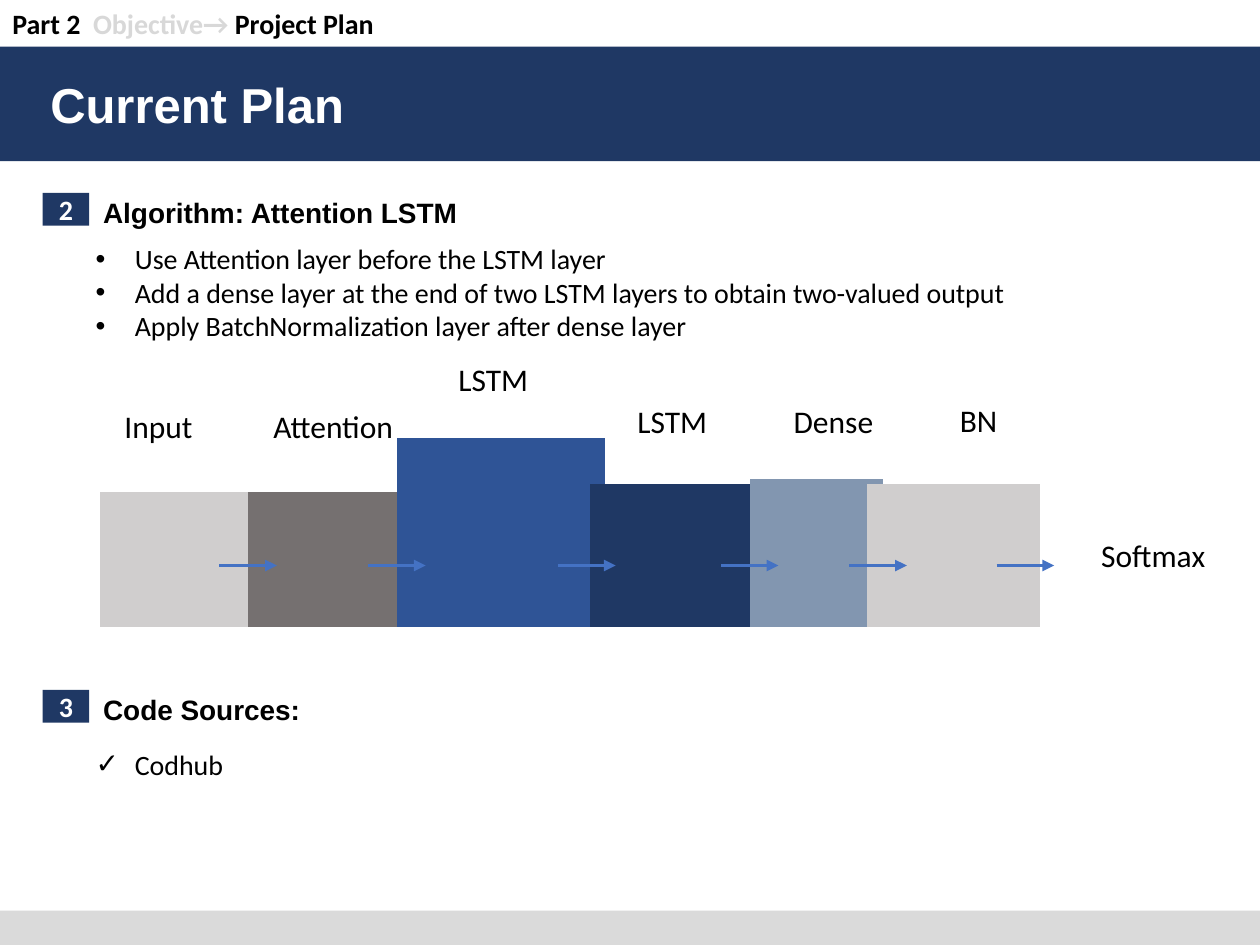
import pptx
import pptx.util
import pptx.dml.color
import pptx.enum.shapes
import pptx.enum.text
import pptx.oxml
import pptx.oxml.ns

Cm = pptx.util.Cm
Pt = pptx.util.Pt
qn = pptx.oxml.ns.qn
Kind = pptx.enum.shapes.MSO_SHAPE
Align = pptx.enum.text.PP_ALIGN
Anchor = pptx.enum.text.MSO_ANCHOR

HUES = {
    "navy": "1F3864", "blue": "2F5496", "steel": "8296B0", "arrow": "4472C4",
    "grey": "D0CECE", "dark": "757070", "foot": "DADADA", "faint": "D8D8D8",
    "black": "000000", "white": "FFFFFF",
}
BODY = {"name": "Calibri", "size": Pt(16), "bold": False}
BOLD = {"name": "Calibri", "size": Pt(16), "bold": True}
HEAD = {"name": "Arial", "size": Pt(16), "bold": True}
TITLE = {"name": "Arial", "size": Pt(28), "bold": True}
LABEL = {"name": "Calibri", "size": Pt(18), "bold": False}


def tint(name):
    return pptx.dml.color.RGBColor.from_string(HUES[name])


def write(para, text, form, hue="black"):
    run = para.add_run()
    run.text = text
    for key, val in form.items():
        setattr(run.font, key, val)
    run.font.color.rgb = tint(hue)


deck = pptx.Presentation()
deck.slide_width, deck.slide_height = Cm(25.4), Cm(19.05)
slide = deck.slides.add_slide(deck.slide_layouts[5])
shapes = slide.shapes

# Bands, number badges and layer blocks: kind, left, top, width, height, hue, number
base = 12.65
layers = [
    (2.01, 3.3, 2.74, "grey"),
    (5, 3.3, 2.74, "dark"),
    (8, 4.19, 3.81, "blue"),
    (11.89, 3.53, 2.9, "navy"),
    (15.11, 2.69, 2.99, "steel"),
    (17.48, 3.48, 2.9, "grey"),
]
parts = [
    (Kind.RECTANGLE, 0, 0.94, 25.4, 2.31, "navy", ""),
    (Kind.RECTANGLE, 0, 18.36, 25.4, 0.86, "foot", ""),
    (Kind.RECTANGLE, 0.86, 3.89, 0.94, 0.66, "navy", "2"),
    (Kind.RECTANGLE, 0.86, 13.91, 0.94, 0.66, "navy", "3"),
]
for left, wide, high, hue in layers:
    parts.append((Kind.FLOWCHART_PROCESS, left, base - high, wide, high, hue, ""))
for kind, left, top, wide, high, hue, num in parts:
    box = shapes.add_shape(kind, Cm(left), Cm(top), Cm(wide), Cm(high))
    box.shadow.inherit = False
    box.fill.solid()
    box.fill.fore_color.rgb = tint(hue)
    box.line.fill.background()
    if num:
        box.text_frame.vertical_anchor = Anchor.MIDDLE
        para = box.text_frame.paragraphs[0]
        para.alignment = Align.CENTER
        write(para, num, BOLD, "white")

# Title, brought in front of its band
title = shapes.title
spot = {"left": Cm(0.76), "top": Cm(1.37), "width": Cm(25.4), "height": Cm(1.45)}
for key, val in spot.items():
    setattr(title, key, val)
frame = title.text_frame
frame.auto_size = pptx.enum.text.MSO_AUTO_SIZE.NONE
frame.vertical_anchor = Anchor.TOP
frame.paragraphs[0].alignment = Align.LEFT
write(frame.paragraphs[0], "Current Plan", TITLE, "white")
shapes._spTree.append(title._element)

# Arrows between layers
flow = 11.4
for left in (4.42, 7.42, 11.25, 14.53, 17.12, 20.09):
    line = shapes.add_connector(
        pptx.enum.shapes.MSO_CONNECTOR.STRAIGHT,
        Cm(left), Cm(flow), Cm(left + 1.16), Cm(flow))
    line.line.width = Pt(2.25)
    line.line.color.rgb = tint("arrow")
    tail = pptx.oxml.parse_xml(
        '<a:tailEnd xmlns:a="http://schemas.openxmlformats.org/drawingml/2006/main"'
        ' type="triangle"/>')
    line.line._get_or_add_ln().append(tail)
    prop = line._element.spPr
    prop.append(prop.makeelement(qn("a:effectLst"), {}))

# Text boxes: left, top, width, height, format, bullet, paragraphs of (text, hue)
texts = [
    (0, 0, 25.4, 1.63, BOLD, "", [
        [("Part 2  ", "black"), ("Objective→ ", "faint"), ("Project Plan", "black")]]),
    (1.83, 3.81, 18.29, 0.94, HEAD, "", [[("Algorithm: Attention LSTM", "black")]]),
    (1.83, 13.83, 18.29, 0.94, HEAD, "", [[("Code Sources:", "black")]]),
    (1.68, 4.75, 22.73, 2.31, BODY, "•", [
        [("Use Attention layer before the LSTM layer", "black")],
        [("Add a dense layer at the end of two LSTM layers to obtain two-valued output",
          "black")],
        [("Apply BatchNormalization layer after dense layer", "black")]]),
    (1.68, 14.94, 23.09, 0.94, BODY, "✓", [[("Codhub", "black")]]),
]
labels = [
    ("Input", 2.26, 8.08, 1.96),
    ("Attention", 5.26, 8.08, 3.25),
    ("LSTM", 8.99, 7.14, 2.26),
    ("LSTM", 12.6, 7.98, 2.26),
    ("Dense", 15.75, 7.98, 2.26),
    ("BN", 19.1, 7.95, 2.26),
    ("Softmax", 21.95, 10.69, 3.23),
]
for text, left, top, wide in labels:
    texts.append((left, top, wide, 1.02, LABEL, "", [[(text, "black")]]))
for left, top, wide, high, form, mark, rows in texts:
    box = shapes.add_textbox(Cm(left), Cm(top), Cm(wide), Cm(high))
    frame = box.text_frame
    frame.word_wrap = True
    for i, row in enumerate(rows):
        para = frame.add_paragraph() if i else frame.paragraphs[0]
        for text, hue in row:
            write(para, text, form, hue)
        if mark:
            prop = para._p.get_or_add_pPr()
            prop.set("marL", str(Cm(0.79)))
            prop.set("indent", str(-Cm(0.79)))
            for tag, key, val in (("a:buFont", "typeface", "Arial"),
                                  ("a:buChar", "char", mark)):
                prop.append(prop.makeelement(qn(tag), {key: val}))

deck.save("out.pptx")
